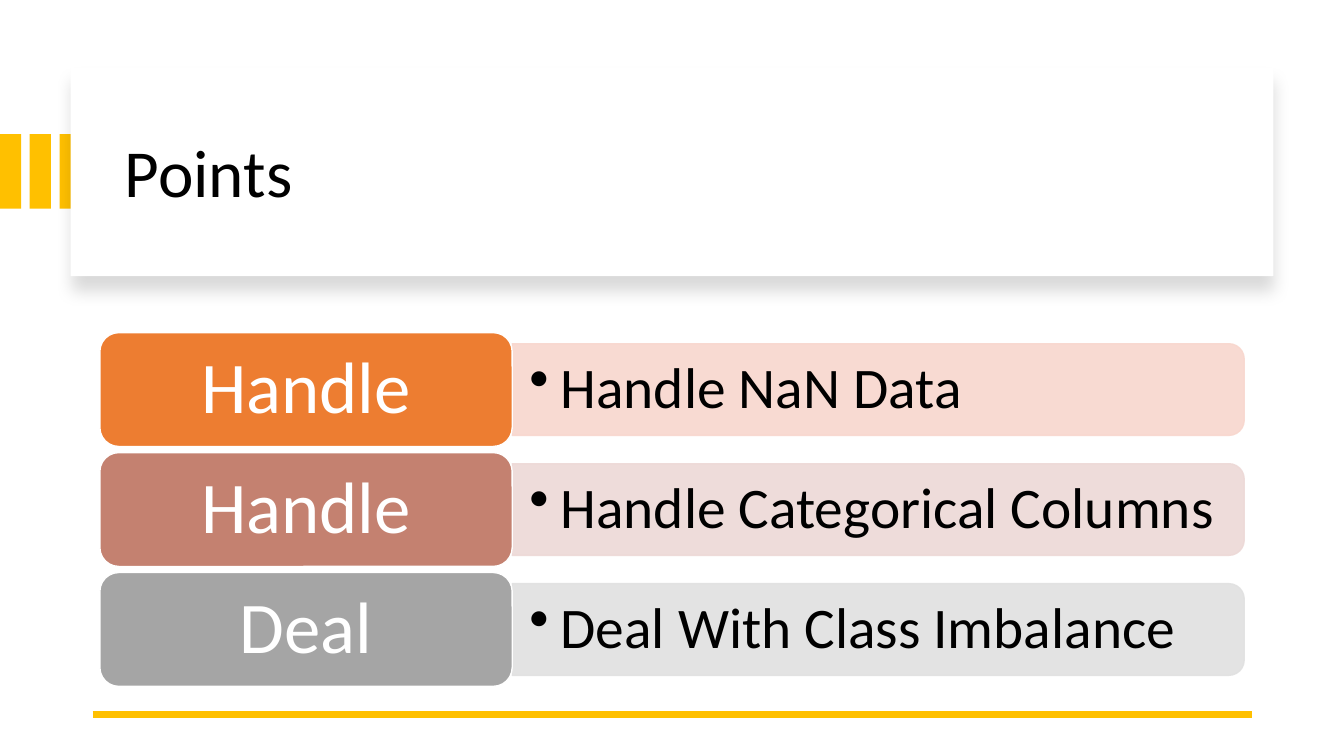
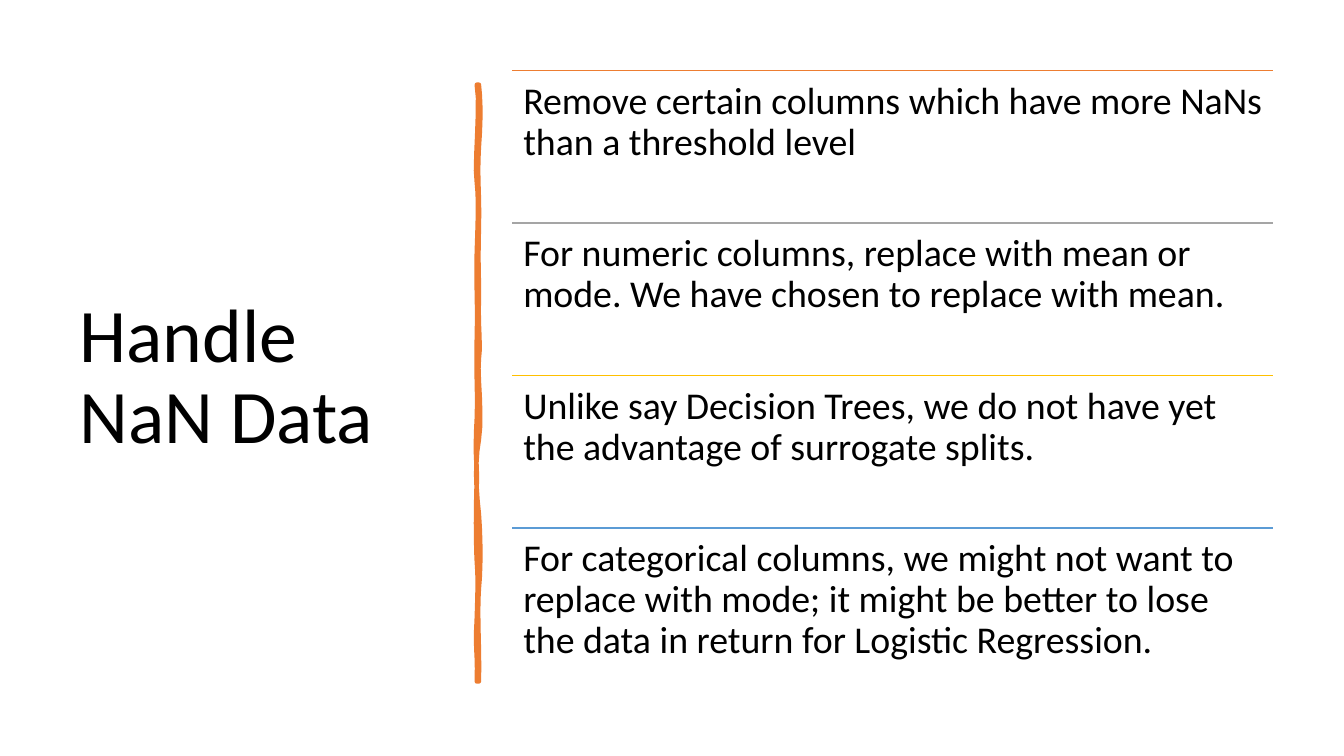
"""Build two slides on handling data, with shared colours, text and line styles."""
import pptx
import pptx.dml.color
import pptx.enum.shapes
import pptx.enum.text
import pptx.oxml
import pptx.oxml.ns
import pptx.util

Inches = pptx.util.Inches
Pt = pptx.util.Pt
Kind = pptx.enum.shapes.MSO_SHAPE
Align = pptx.enum.text.PP_ALIGN
Anchor = pptx.enum.text.MSO_ANCHOR

FONT = "Calibri"
BLACK, WHITE = "000000", "FFFFFF"
GOLD, ORANGE, ROSE, GREY, BLUE = "FFC000", "ED7D31", "C48170", "A5A5A5", "5B9BD5"

POINTS = [
    ("Handle", "Handle NaN Data", ORANGE, "F8D7CE"),
    ("Handle", "Handle Categorical Columns", ROSE, "EDD9D7"),
    ("Deal", "Deal With Class Imbalance", GREY, "E1E1E1"),
]
STEPS = [
    ("Remove certain columns which have more NaNs than a threshold level", ORANGE),
    ("For numeric columns, replace with mean or mode. We have chosen to replace with mean.", GREY),
    ("Unlike say Decision Trees, we do not have yet the advantage of surrogate splits.", GOLD),
    ("For categorical columns, we might not want to replace with mode; it might be better "
     "to lose the data in return for Logistic Regression.", BLUE),
]
STROKE = [
    (4.75, 0.84), (4.77, 1.02), (4.77, 1.19), (4.75, 1.46), (4.73, 1.73), (4.76, 1.95),
    (4.75, 2.26), (4.74, 2.57), (4.75, 2.62), (4.75, 2.94), (4.74, 3.25), (4.77, 3.42),
    (4.75, 3.56), (4.73, 3.7), (4.79, 4.14), (4.75, 4.36), (4.71, 4.57), (4.72, 4.84),
    (4.75, 5.1), (4.77, 5.36), (4.77, 5.64), (4.75, 5.84), (4.73, 6.03), (4.76, 6.5),
    (4.75, 6.76), (4.74, 6.76), (4.73, 6.76), (4.73, 6.76), (4.74, 6.46), (4.71, 6.44),
    (4.73, 6.13), (4.74, 5.83), (4.74, 5.7), (4.73, 5.57), (4.72, 5.44), (4.72, 4.95),
    (4.73, 4.77), (4.73, 4.59), (4.71, 4.45), (4.73, 4.15), (4.74, 3.86), (4.72, 3.73),
    (4.73, 3.35), (4.74, 2.98), (4.72, 2.81), (4.73, 2.5), (4.74, 2.18), (4.75, 2),
    (4.73, 1.81), (4.7, 1.63), (4.77, 1.04), (4.73, 0.84), (4.74, 0.84), (4.74, 0.84),
    (4.75, 0.84),
]


def rgb(code):
    return pptx.dml.color.RGBColor.from_string(code)


def apply(item, form):
    for name, value in form.items():
        setattr(item, name, value)


def add_xml(node, tag, body="", **attrs):
    text = "".join(f' {key}="{value}"' for key, value in attrs.items())
    space = pptx.oxml.ns.nsdecls("a")
    node.append(pptx.oxml.parse_xml(f"<a:{tag} {space}{text}>{body}</a:{tag}>"))


def paint(shape, fill, line=None, width=1, alpha=None):
    shape.shadow.inherit = False
    shape.fill.solid()
    shape.fill.fore_color.rgb = rgb(fill)
    if line:
        shape.line.color.rgb = rgb(line)
        shape.line.width = Pt(width)
    else:
        shape.line.fill.background()
    if alpha:
        for tone in shape._element.spPr.iter(pptx.oxml.ns.qn("a:srgbClr")):
            add_xml(tone, "alpha", val=alpha * 1000)


def add_block(slide, kind, box, fill, **style):
    shape = slide.shapes.add_shape(kind, *map(Inches, box))
    paint(shape, fill, **style)
    return shape


def write(shape, text, size, color=BLACK, pad=(0.1, 0.05), anchor=Anchor.MIDDLE,
          align=Align.LEFT, bullet=None):
    frame = shape.text_frame
    side, edge = map(Inches, pad)
    apply(frame, {"word_wrap": True, "vertical_anchor": anchor,
                  "margin_left": side, "margin_right": side,
                  "margin_top": edge, "margin_bottom": edge})
    para = frame.paragraphs[0]
    apply(para, {"alignment": align, "line_spacing": 0.9})
    run = para.add_run()
    run.text = text
    apply(run.font, {"name": FONT, "size": Pt(size)})
    run.font.color.rgb = rgb(color)
    if bullet:
        props = para._p.get_or_add_pPr()
        props.set("marL", str(Inches(bullet)))
        props.set("indent", str(-Inches(bullet)))
        add_xml(props, "buChar", char="•")


def add_text(slide, box, text, size, **style):
    write(slide.shapes.add_textbox(*map(Inches, box)), text, size, **style)


def add_line(slide, left, right, top, color, width):
    line = slide.shapes.add_connector(
        pptx.enum.shapes.MSO_CONNECTOR.STRAIGHT, *map(Inches, (left, top, right, top)))
    line.line.color.rgb = rgb(color)
    line.line.width = Pt(width)
    add_xml(line._element.spPr, "effectLst")


def add_card(slide, box):
    card = add_block(slide, Kind.RECTANGLE, box, WHITE)
    glow = card._element.spPr.find(pptx.oxml.ns.qn("a:effectLst"))
    tone = f'<a:srgbClr val="{BLACK}"><a:alpha val="15000"/></a:srgbClr>'
    add_xml(glow, "outerShdw", tone, blurRad=Pt(11), dist=Pt(10),
            dir=90 * 60000, algn="t", rotWithShape=0)


def add_row(slide, top, label, text, color, tint):
    left, wide, high = 5.08, 7.26, 0.91
    mid = top + 1.13 / 2
    panel = add_block(slide, Kind.ROUND_2_SAME_RECTANGLE,
                      (left + (wide - high) / 2, mid - wide / 2, high, wide),
                      tint, line=tint, alpha=90)
    panel.rotation = 90
    add_text(slide, (left, mid - 0.41, 7.22, 0.82), text, 41, pad=(0.17, 0.09), bullet=0.31)
    tab = add_block(slide, Kind.ROUNDED_RECTANGLE, (0.99, top, 4.09, 1.13), color, line=WHITE)
    write(tab, label, 52, color=WHITE, pad=(0.22, 0.11), align=Align.CENTER)


def trace(nodes, count=6):
    spots = []
    for start in range(0, len(nodes) - 1, 3):
        curve = nodes[start:start + 4]
        for step in range(count):
            t = step / count
            parts = ((1 - t) ** 3, 3 * t * (1 - t) ** 2, 3 * t * t * (1 - t), t ** 3)
            spots.append(tuple(1000 * sum(part * node[axis] for part, node in zip(parts, curve))
                               for axis in (0, 1)))
    return spots


def add_stroke(slide, nodes, color):
    spots = trace(nodes)
    pen = slide.shapes.build_freeform(*spots[0], scale=Inches(1) / 1000)
    pen.add_line_segments(spots[1:], close=True)
    paint(pen.convert_to_shape(), color, line=color, width=3.25)


def draw_points(slide):
    for i in range(3):
        add_block(slide, Kind.RECTANGLE, (i * 0.59 / 2, 1.33, 0.21, 0.74), GOLD)
    add_card(slide, (0.7, 0.67, 11.93, 2.07))
    add_text(slide, (1.14, 0.89, 11.13, 1.7), "Points", 48)
    add_line(slide, 0.92, 12.42, 7.09, GOLD, 4.5)
    for i, point in enumerate(POINTS):
        add_row(slide, 3.3 + i * 1.19, *point)


def draw_steps(slide):
    add_text(slide, (0.69, 0.7, 3.74, 6.11), "Handle NaN Data", 54)
    add_stroke(slide, STROKE, ORANGE)
    left, wide, high = 5.08, 7.55, 1.51
    for i, (text, color) in enumerate(STEPS):
        top = 0.7 + i * 4.54 / 3
        add_line(slide, left, left + wide, top, color, 1)
        add_text(slide, (left, top, wide, high), text, 27, pad=(0.11, 0.11), anchor=Anchor.TOP)


def main():
    deck = pptx.Presentation()
    apply(deck, {"slide_width": Inches(13.33), "slide_height": Inches(7.5)})
    for draw in (draw_points, draw_steps):
        draw(deck.slides.add_slide(deck.slide_layouts[6]))
    deck.save("out.pptx")


if __name__ == "__main__":
    main()
